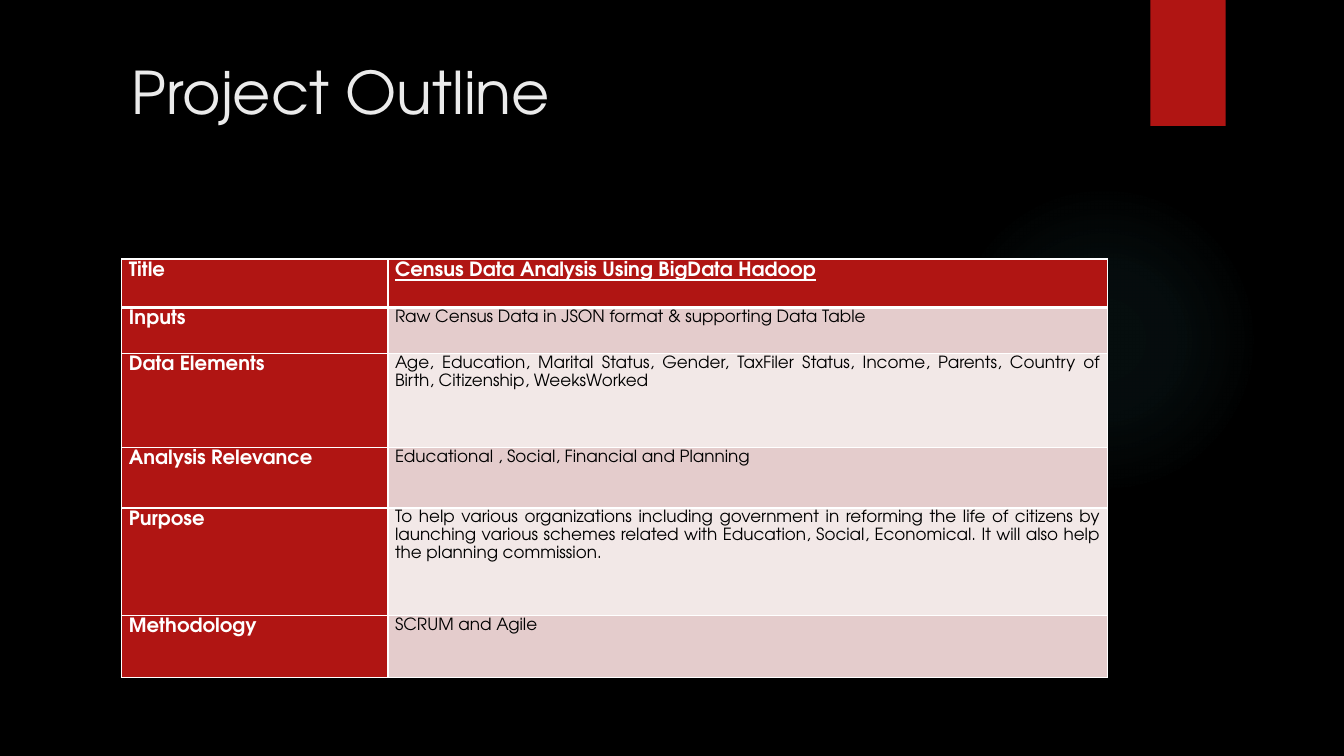
"""Build the project outline slide."""
from lxml.etree import SubElement as Sub
from pptx import Presentation
from pptx.dml.color import RGBColor as Rgb
from pptx.enum.shapes import MSO_SHAPE as Kind
from pptx.enum.text import MSO_ANCHOR as Anchor, PP_ALIGN as Align
from pptx.oxml.ns import qn
from pptx.util import Inches, Pt

WIDE, HIGH = Inches(13.33), Inches(7.5)
FONT = "TeX Gyre Adventor"
HUES = {"back": "000000", "title": "EBEBEB", "red": "B01513", "white": "FFFFFF",
        "dark": "E4CCCC", "light": "F2E8E7", "ink": "000000", "glow": "50B9C1"}
COLS = [19.8, 53.55]
ROWS = [
    (6.4, "Title", "Census Data Analysis Using BigData Hadoop"),
    (6.13, "Inputs", "Raw Census Data in JSON format & supporting Data Table"),
    (12.4, "Data Elements", "Age, Education, Marital Status, Gender, TaxFiler Status, "
     "Income, Parents, Country of Birth, Citizenship, WeeksWorked"),
    (8, "Analysis Relevance", "Educational , Social, Financial and Planning"),
    (14.27, "Purpose", "To help various organizations including government in reforming "
     "the life of citizens by launching various schemes related with Education, Social, "
     "Economical. It will also help the planning commission. "),
    (8.13, "Methodology", "SCRUM and Agile"),
]


def hue(name):
    return Rgb.from_string(HUES[name])


def across(share):
    return int(WIDE * share / 100)


def down(share):
    return int(HIGH * share / 100)


def area(left, top, width, height):
    return across(left), down(top), across(width), down(height)


def paint(fill, color):
    fill.solid()
    fill.fore_color.rgb = hue(color)


def write(frame, text, size, color, bold=False, line=False, align=Align.LEFT, gap=None):
    frame.word_wrap = True
    para = frame.paragraphs[0]
    para.alignment, para.line_spacing = align, gap
    run = para.add_run()
    run.text = text
    font = run.font
    font.name, font.size, font.bold, font.underline = FONT, Pt(size), bold, line
    font.color.rgb = hue(color)


def block(slide, kind, box, color):
    shape = slide.shapes.add_shape(kind, *area(*box))
    shape.shadow.inherit = False
    shape.line.fill.background()
    paint(shape.fill, color)
    return shape


def glow(slide, box):
    props = block(slide, Kind.OVAL, box, "glow")._element.spPr
    grad = props.makeelement(qn("a:gradFill"), {"rotWithShape": "1"})
    props.replace(props.find(qn("a:solidFill")), grad)
    stops = Sub(grad, qn("a:gsLst"))
    for place, alpha in ((0, 7), (36, 6), (69, 0), (100, 0)):
        stop = Sub(stops, qn("a:gs"), pos=str(place * 1000))
        tint = Sub(stop, qn("a:srgbClr"), val=HUES["glow"])
        Sub(tint, qn("a:alpha"), val=str(alpha * 1000))
    ring = Sub(grad, qn("a:path"), path="circle")
    Sub(ring, qn("a:fillToRect"), {side: "50000" for side in "ltrb"})


def edge(cell, **sides):
    props = cell._tc.get_or_add_tcPr()
    for side, width in sides.items():
        line = Sub(props, qn("a:ln" + side), w=str(int(Pt(width))))
        Sub(Sub(line, qn("a:solidFill")), qn("a:srgbClr"), val=HUES["white"])


def put(cell, text, back, **form):
    cell.margin_left = cell.margin_right = Inches(0.07)
    cell.margin_top = cell.margin_bottom = 0
    paint(cell.fill, back)
    write(cell.text_frame, text, align=Align.JUSTIFY, gap=1.15, **form)


def grid(slide, left, top):
    box = area(left, top, sum(COLS), sum(row[0] for row in ROWS))
    table = slide.shapes.add_table(len(ROWS), len(COLS), *box).table
    for col, width in zip(table.columns, COLS):
        col.width = across(width)
    head = dict(back="red", size=14, color="white", bold=True)
    for r, (height, label, value) in enumerate(ROWS):
        table.rows[r].height = down(height)
        for cell in table.rows[r].cells:
            edge(cell, L=1, R=1, T=3 if r == 1 else 1, B=1 if r else 3)
        body = dict(back="dark" if r % 2 else "light", size=12, color="ink")
        put(table.cell(r, 0), label, **head)
        put(table.cell(r, 1), value, line=r == 0, **(body if r else head))


def main():
    deck = Presentation()
    deck.slide_width, deck.slide_height = WIDE, HIGH
    slide = deck.slides.add_slide(deck.slide_layouts[6])
    paint(slide.background.fill, "back")
    glow(slide, (70.57, 24.4, 23.1, 41.07))
    block(slide, Kind.RECTANGLE, (85.6, 0, 5.6, 16.67), "red")
    frame = slide.shapes.add_textbox(*area(9.07, 6.67, 73.4, 20.4)).text_frame
    frame.vertical_anchor = Anchor.TOP
    write(frame, "Project Outline", 42, "title")
    grid(slide, 9.07, 34.27)
    deck.save("out.pptx")


if __name__ == "__main__":
    main()
